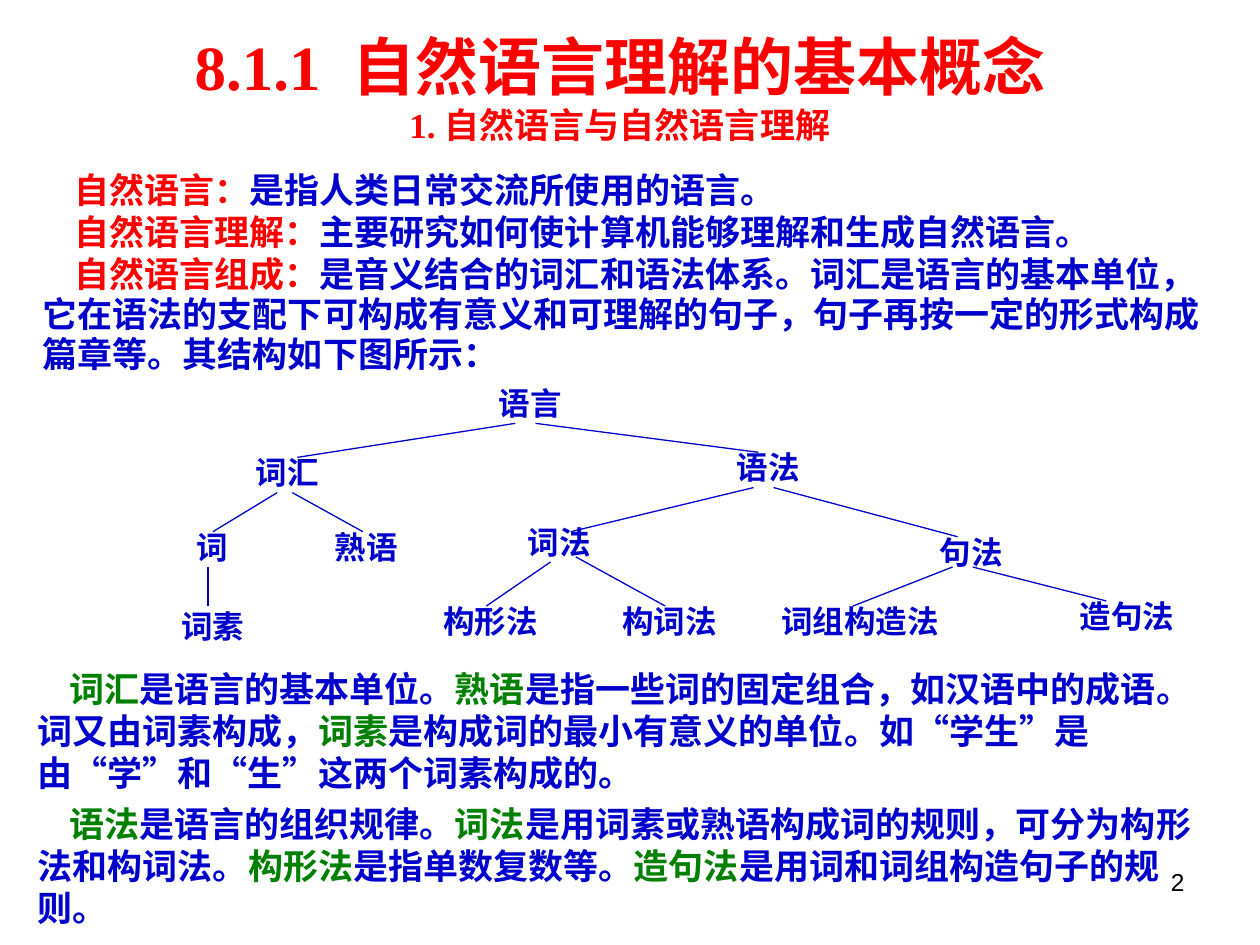
from dataclasses import dataclass

from lxml.etree import SubElement
from pptx import Presentation
from pptx.dml.color import RGBColor
from pptx.enum.shapes import MSO_CONNECTOR as Connector
from pptx.enum.text import MSO_AUTO_SIZE as AutoSize, PP_ALIGN as Align
from pptx.oxml.ns import qn
from pptx.util import Inches, Pt

RED, BLUE, GREEN, BLACK = "FF0000", "0000CC", "008000", "000000"
SERIF = "Times New Roman"


@dataclass
class Span:
    text: str
    color: str = BLUE


@dataclass
class Paragraph:
    spans: list[Span]
    size: float = 20
    align: Align = Align.LEFT
    before: float = 0
    spacing: float = 1.0
    indent: float = 0


@dataclass
class Term:
    text: str
    left: float
    top: float
    width: float = 0.75
    inset: float = 0.1


@dataclass
class Branch:
    x1: float
    y1: float
    x2: float
    y2: float


def rgb(value: str) -> RGBColor:
    return RGBColor.from_string(value)


def add_text(slide, left: float, top: float, width: float, height: float,
             paragraphs: list[Paragraph], inset: float = 0.1,
             font: str = SERIF, bold: bool = True) -> None:
    frame = slide.shapes.add_textbox(
        Inches(left), Inches(top), Inches(width), Inches(height)).text_frame
    frame.word_wrap = True
    frame.auto_size = AutoSize.SHAPE_TO_FIT_TEXT
    frame.margin_left = frame.margin_right = Inches(inset)
    for index, content in enumerate(paragraphs):
        paragraph = frame.add_paragraph() if index else frame.paragraphs[0]
        paragraph.alignment = content.align
        paragraph.space_before = Pt(content.before)
        paragraph.line_spacing = content.spacing
        properties = paragraph._p.get_or_add_pPr()
        properties.set("indent", str(Inches(content.indent)))
        properties.set("hangingPunct", "0")
        for span in content.spans:
            run = paragraph.add_run()
            run.text = span.text
            run.font.name = font
            run.font.size = Pt(content.size)
            run.font.bold = bold
            run.font.color.rgb = rgb(span.color)


def add_term(slide, term: Term) -> None:
    add_text(slide, term.left, term.top, term.width, 0.4,
             [Paragraph([Span(term.text)], size=18)], term.inset)


def add_branch(slide, branch: Branch) -> None:
    line = slide.shapes.add_connector(
        Connector.STRAIGHT, Inches(branch.x1), Inches(branch.y1),
        Inches(branch.x2), Inches(branch.y2))
    line.line.color.rgb = rgb(BLUE)
    line.line.width = Pt(0.75)
    SubElement(line._element.spPr, qn("a:effectLst"))


HEADING = [
    Paragraph([Span("8.1.1  自然语言理解的基本概念", RED)], 36, Align.CENTER),
    Paragraph([Span("1. 自然语言与自然语言理解", RED)], 20, Align.CENTER),
]

DEFINITIONS = [
    ("自然语言：", "是指人类日常交流所使用的语言。"),
    ("自然语言理解：", "主要研究如何使计算机能够理解和生成自然语言。"),
    ("自然语言组成：", "是音义结合的词汇和语法体系。词汇是语言的基本单位，"
     "它在语法的支配下可构成有意义和可理解的句子，"
     "句子再按一定的形式构成篇章等。其结构如下图所示："),
]

EXPLANATIONS = [
    [("词汇", "是语言的基本单位。"),
     ("熟语", "是指一些词的固定组合，如汉语中的成语。词又由词素构成，"),
     ("词素", "是构成词的最小有意义的单位。如“学生”是由“学”和“生”这两个词素构成的。")],
    [("语法", "是语言的组织规律。"),
     ("词法", "是用词素或熟语构成词的规则，可分为构形法和构词法。"),
     ("构形法", "是指单数复数等。"),
     ("造句法", "是用词和词组构造句子的规则。")],
]

TERMS = [
    Term("语言", 3.86, 3.0),
    Term("词汇", 1.93, 3.55),
    Term("语法", 5.75, 3.51),
    Term("词", 1.46, 4.14, 0.55),
    Term("熟语", 2.56, 4.14),
    Term("词法", 4.09, 4.1),
    Term("句法", 7.36, 4.18),
    Term("词素", 1.34, 4.77),
    Term("构形法", 3.46, 4.73, 0.98, 0.06),
    Term("构词法", 4.88, 4.73, 0.95, 0.06),
    Term("词组构造法", 6.14, 4.73, 1.5, 0.06),
    Term("造句法", 8.47, 4.69, 1.02),
]

BRANCHES = [
    Branch(4.09, 3.36, 2.36, 3.63),
    Branch(4.25, 3.36, 6.02, 3.59),
    Branch(2.2, 3.91, 1.69, 4.22),
    Branch(2.32, 3.91, 2.88, 4.22),
    Branch(5.98, 3.87, 4.53, 4.22),
    Branch(6.14, 3.87, 7.6, 4.26),
    Branch(1.65, 4.5, 1.65, 4.81),
    Branch(4.37, 4.46, 3.86, 4.81),
    Branch(4.57, 4.42, 5.28, 4.81),
    Branch(7.56, 4.5, 6.77, 4.81),
    Branch(7.72, 4.5, 8.78, 4.77),
]


def main() -> None:
    deck = Presentation()
    deck.slide_width, deck.slide_height = Inches(10), Inches(7.5)
    slide = deck.slides.add_slide(deck.slide_layouts[6])

    add_text(slide, 7.17, 6.83, 2.33, 0.52,
             [Paragraph([Span("2", BLACK)], 14, Align.RIGHT)],
             font="Arial", bold=False)
    add_text(slide, 0.24, 1.31, 9.57, 1.72, [
        Paragraph([Span(name, RED), Span(meaning)],
                  before=1.2, spacing=0.95, indent=0.25)
        for name, meaning in DEFINITIONS])
    for branch in BRANCHES:
        add_branch(slide, branch)
    for term in TERMS:
        add_term(slide, term)
    add_text(slide, 0.2, 5.25, 9.61, 2.17, [
        Paragraph([span for name, meaning in sentences
                   for span in (Span(name, GREEN), Span(meaning))],
                  before=5, indent=0.25)
        for sentences in EXPLANATIONS])
    add_text(slide, 0.35, 0.17, 9.14, 1.04, HEADING)

    deck.save("out.pptx")


if __name__ == "__main__":
    main()
